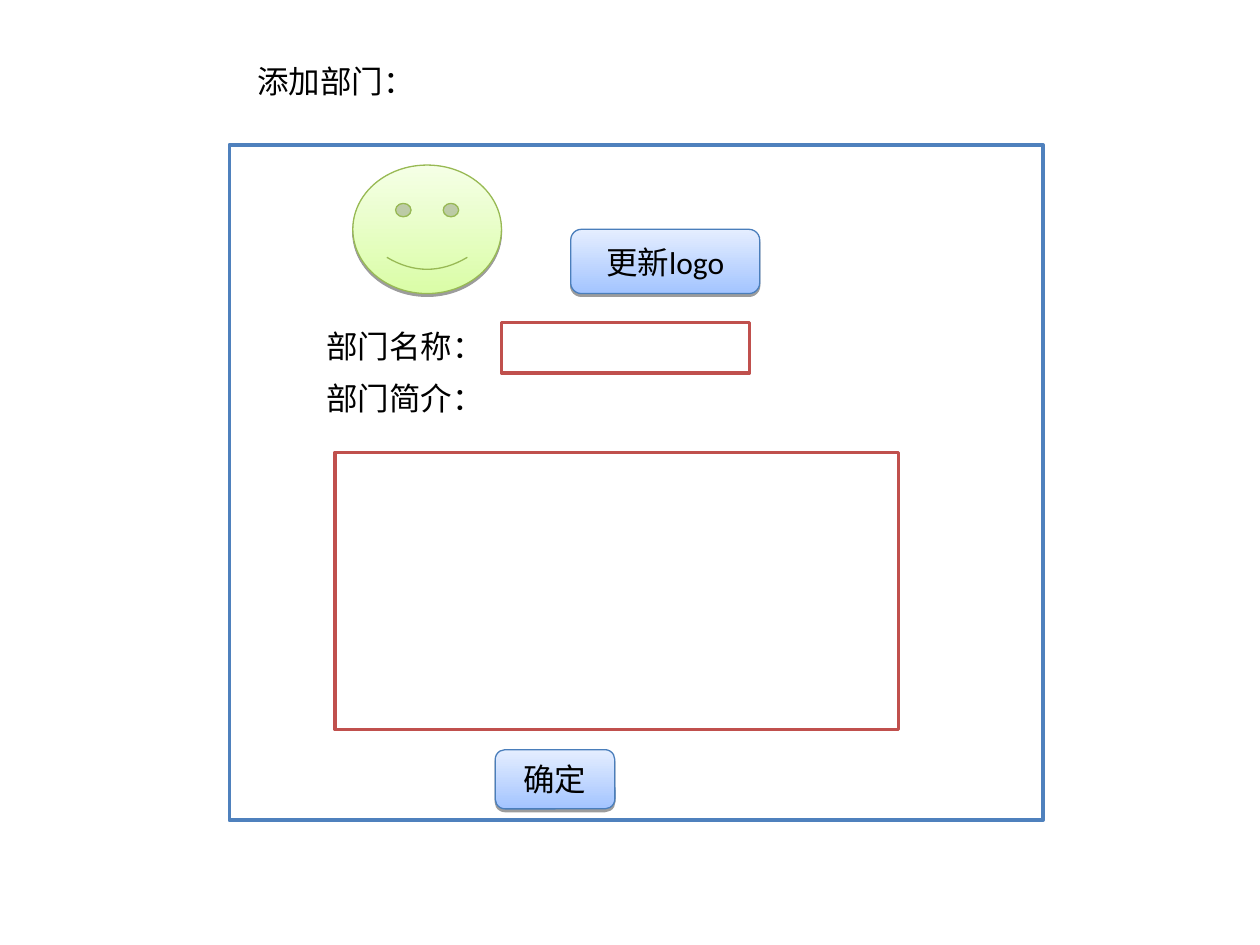
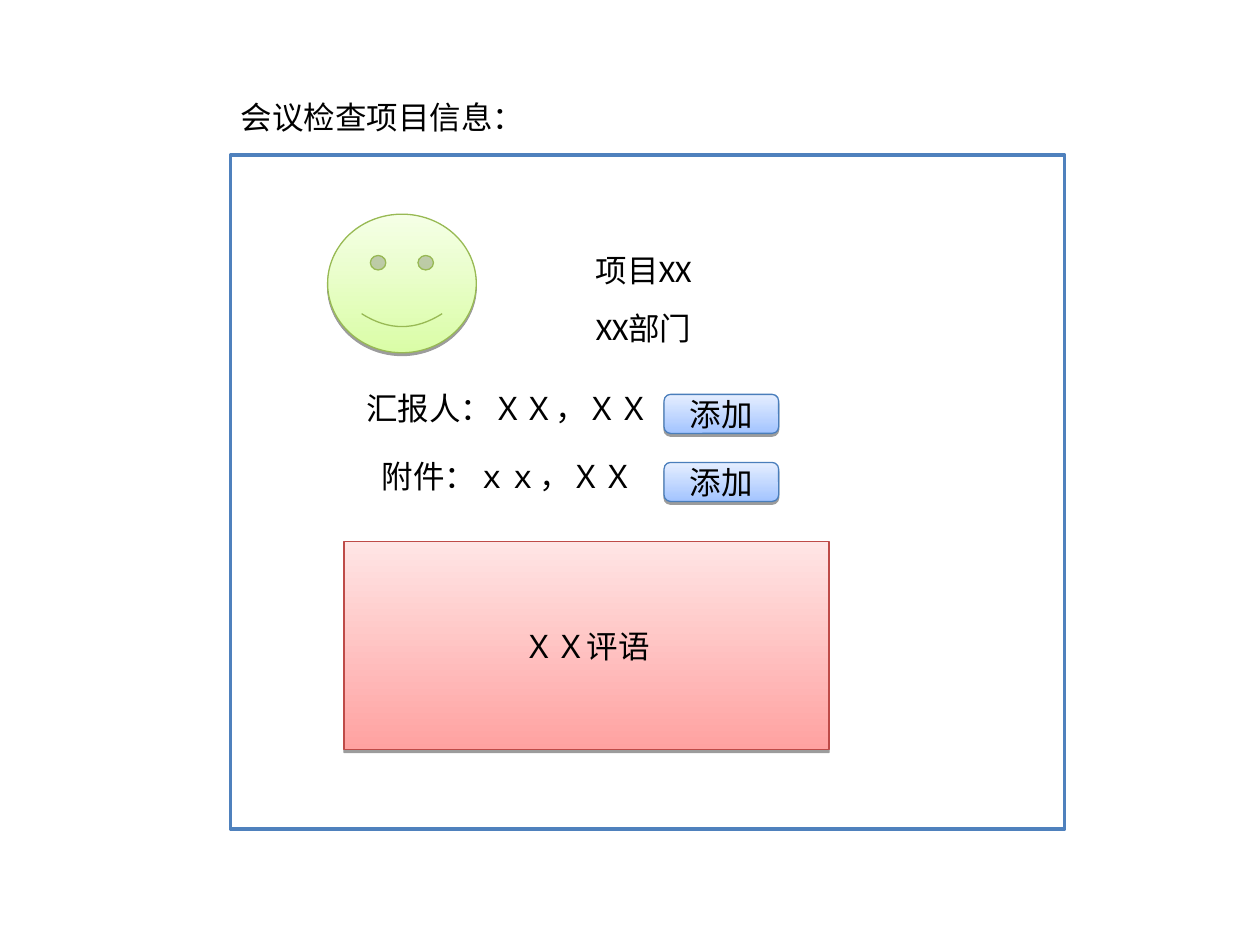
from lxml.etree import SubElement
from pptx import Presentation
from pptx.dml.color import RGBColor
from pptx.enum.shapes import MSO_SHAPE
from pptx.enum.text import MSO_ANCHOR, MSO_AUTO_SIZE, PP_ALIGN
from pptx.oxml.ns import qn
from pptx.util import Inches, Pt

FONT = "Calibri"
BLACK, WHITE = "000000", "FFFFFF"
PANEL_LINE, FIELD_LINE = "4F81BD", "C0504D"
# Each gradient style: bottom colour, top colour, outline
BLUE = ("A3C4FF", "E5EEFF", "4A7EBB")
GREEN = ("DAFDA7", "F5FFE6", "98B954")
RED = ("FFA2A1", "FFE5E5", "BE4B48")
TEXT_HEIGHT = 0.4


def color(hex_code):
    return RGBColor.from_string(hex_code)


def write(box, text, align, anchor, wrap=True):
    frame = box.text_frame
    frame.auto_size = MSO_AUTO_SIZE.NONE
    frame.word_wrap = wrap
    frame.vertical_anchor = anchor
    frame.margin_left = frame.margin_right = Inches(0.1)
    frame.margin_top = frame.margin_bottom = Inches(0.05)
    para = frame.paragraphs[0]
    para.alignment = align
    span = para.add_run()
    span.text = text
    span.font.name = FONT
    span.font.size = Pt(18)
    span.font.bold = False
    span.font.color.rgb = color(BLACK)


def add_page(deck, title, left, top, width):
    page = deck.slides.add_slide(deck.slide_layouts[5])
    box = page.shapes.title
    box.left, box.top = Inches(left), Inches(top)
    box.width, box.height = Inches(width), Inches(TEXT_HEIGHT)
    write(box, title, PP_ALIGN.LEFT, MSO_ANCHOR.TOP, wrap=False)
    return page


def add_label(page, text, left, top, width):
    box = page.shapes.add_textbox(
        Inches(left), Inches(top), Inches(width), Inches(TEXT_HEIGHT))
    write(box, text, PP_ALIGN.LEFT, MSO_ANCHOR.TOP, wrap=False)


def add_outline(page, line_color, *bounds):
    """Add a white rectangle with a heavy outline: a panel or an input field."""
    box = page.shapes.add_shape(MSO_SHAPE.RECTANGLE, *map(Inches, bounds))
    box.shadow.inherit = False
    box.fill.solid()
    box.fill.fore_color.rgb = color(WHITE)
    box.line.color.rgb = color(line_color)
    box.line.width = Pt(2)


def add_drop_shadow(box):
    box.shadow.inherit = False
    effects = box._element.spPr.find(qn("a:effectLst"))
    shadow = SubElement(effects, qn("a:outerShdw"), blurRad="0",
                        dist=str(Pt(1.6)), dir="5400000", rotWithShape="0")
    tint = SubElement(shadow, qn("a:srgbClr"), val=BLACK)
    SubElement(tint, qn("a:alpha"), val="38000")


def add_raised(page, kind, style, *bounds, text=None):
    """Add a shape with a vertical gradient, thin outline and drop shadow."""
    bottom, top, outline = style
    box = page.shapes.add_shape(kind, *map(Inches, bounds))
    box.fill.gradient()
    box.fill.gradient_angle = 90
    for stop, position, shade in zip(box.fill.gradient_stops, (0, 1), (bottom, top)):
        stop.position = position
        stop.color.rgb = color(shade)
    box.line.color.rgb = color(outline)
    box.line.width = Pt(0.75)
    add_drop_shadow(box)
    if text:
        write(box, text, PP_ALIGN.CENTER, MSO_ANCHOR.MIDDLE)


def add_button(page, text, *bounds):
    add_raised(page, MSO_SHAPE.ROUNDED_RECTANGLE, BLUE, *bounds, text=text)


def add_face(page, *bounds):
    add_raised(page, MSO_SHAPE.SMILEY_FACE, GREEN, *bounds)


def build_department_form(deck):
    page = add_page(deck, "添加部门：", 1.94, 0.44, 1.45)
    add_outline(page, PANEL_LINE, 1.82, 1.15, 6.46, 5.36)
    add_face(page, 2.8, 1.31, 1.18, 1.02)
    add_button(page, "更新logo", 4.53, 1.82, 1.5, 0.51)
    add_label(page, "部门名称：", 2.49, 2.55, 1.45)
    add_outline(page, FIELD_LINE, 3.98, 2.56, 1.97, 0.4)
    add_label(page, "部门简介：", 2.49, 2.96, 1.45)
    add_outline(page, FIELD_LINE, 2.66, 3.59, 4.47, 2.2)
    add_button(page, "确定", 3.93, 5.95, 0.95, 0.47)


def build_project_review(deck):
    page = add_page(deck, "会议检查项目信息：", 1.81, 0.73, 2.45)
    add_outline(page, PANEL_LINE, 1.83, 1.23, 6.62, 5.35)
    add_face(page, 2.6, 1.7, 1.18, 1.1)
    add_label(page, "项目XX", 4.63, 1.94, 1.02)
    add_label(page, "XX部门", 4.63, 2.4, 1.02)
    entries = (("汇报人：ＸＸ，ＸＸ", 2.81, 2.45), ("附件：ｘｘ，ＸＸ", 2.93, 2.2))
    for row, (text, left, width) in enumerate(entries):
        top = 3.04 + 0.54 * row
        add_label(page, text, left, top, width)
        add_button(page, "添加", 5.27, top + 0.09, 0.91, 0.31)
    add_raised(page, MSO_SHAPE.RECTANGLE, RED, 2.73, 4.3, 3.85, 1.65, text="ＸＸ评语")


def main():
    deck = Presentation()
    deck.slide_width, deck.slide_height = Inches(10), Inches(7.5)
    build_department_form(deck)
    build_project_review(deck)
    deck.save("out.pptx")


if __name__ == "__main__":
    main()
